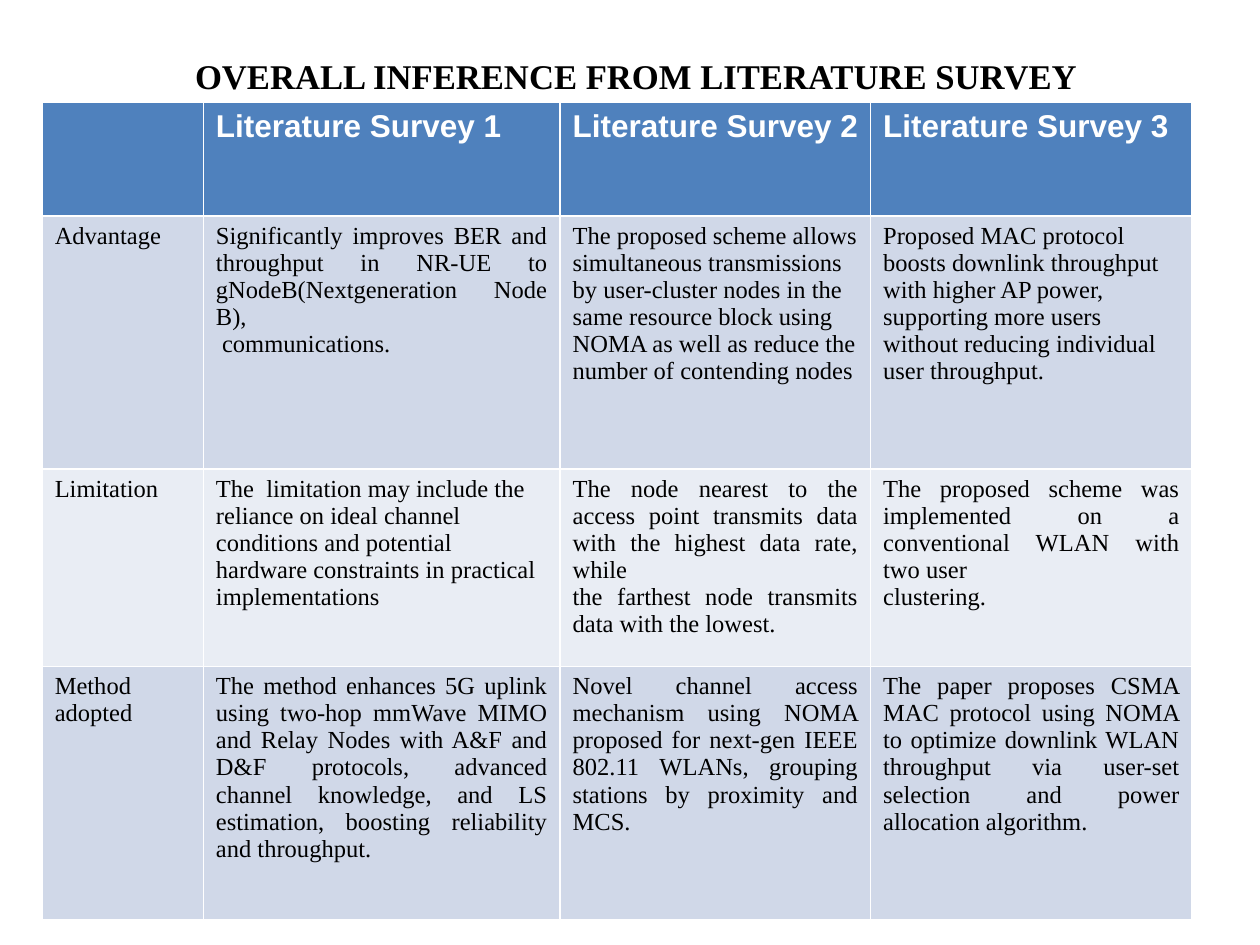
from dataclasses import dataclass

import pptx
import pptx.dml.color
import pptx.enum.text
import pptx.util

Cm = pptx.util.Cm
Pt = pptx.util.Pt
RGBColor = pptx.dml.color.RGBColor
ALIGN = pptx.enum.text.PP_ALIGN
ANCHOR = pptx.enum.text.MSO_ANCHOR

BLACK = RGBColor(0x00, 0x00, 0x00)
WHITE = RGBColor(0xFF, 0xFF, 0xFF)
HEADER_BLUE = RGBColor(0x4F, 0x81, 0xBD)
BAND_FILLS = (RGBColor(0xD0, 0xD8, 0xE8), RGBColor(0xE9, 0xED, 0xF4))

COLUMN_WIDTHS = (3.25, 7.19, 6.26, 6.48)
ROW_HEIGHTS = (2.3, 5.1, 3.98, 5.1)


@dataclass(frozen=True)
class TextStyle:
    font: str
    size: float
    color: RGBColor
    bold: bool


@dataclass(frozen=True)
class Entry:
    text: str
    justified: bool = False


TITLE_STYLE = TextStyle("Times New Roman", 19.8, BLACK, True)
HEADER_STYLE = TextStyle("Arial", 18, WHITE, True)
BODY_STYLE = TextStyle("Times New Roman", 14, BLACK, False)

HEADER = [Entry("")] + [Entry(f"Literature Survey {number}") for number in (1, 2, 3)]
BODY = [
    [
        Entry("Advantage"),
        Entry("Significantly improves BER and throughput in NR-UE to "
              "gNodeB(Nextgeneration Node B),\n communications.", True),
        Entry("The proposed scheme allows simultaneous transmissions by "
              "user-cluster nodes in the same resource block using NOMA "
              "as well as reduce the number of contending nodes"),
        Entry("Proposed MAC protocol boosts downlink throughput with higher "
              "AP power, supporting more users without reducing individual "
              "user throughput."),
    ],
    [
        Entry("Limitation"),
        Entry("The  limitation may include the reliance on ideal channel "
              "conditions and potential hardware constraints in practical "
              "implementations"),
        Entry("The node nearest to the access point transmits data with the "
              "highest data rate, while\nthe farthest node transmits data "
              "with the lowest.", True),
        Entry("The proposed scheme was implemented on a conventional WLAN "
              "with two user\nclustering.", True),
    ],
    [
        Entry("Method adopted"),
        Entry("The method enhances 5G uplink using two-hop mmWave MIMO and "
              "Relay Nodes with A&F and D&F protocols, advanced channel "
              "knowledge, and LS estimation, boosting reliability and "
              "throughput.", True),
        Entry("Novel channel access mechanism using NOMA proposed for "
              "next-gen IEEE 802.11 WLANs, grouping stations by proximity "
              "and MCS.", True),
        Entry("The paper proposes CSMA MAC protocol using NOMA to optimize "
              "downlink WLAN throughput via user-set selection and power "
              "allocation algorithm.", True),
    ],
]


def write_text(text_frame: pptx.text.text.TextFrame, text: str,
               style: TextStyle, alignment: ALIGN) -> None:
    text_frame.text = text
    for paragraph in text_frame.paragraphs:
        paragraph.alignment = alignment
        for run in paragraph.runs:
            run.font.name = style.font
            run.font.size = Pt(style.size)
            run.font.bold = style.bold
            run.font.color.rgb = style.color


def add_title(slide: pptx.slide.Slide) -> None:
    title = slide.shapes.title
    title.left, title.top = Cm(1.07), Cm(0.5)
    title.width, title.height = Cm(23.5), Cm(1.58)
    title.text_frame.auto_size = pptx.enum.text.MSO_AUTO_SIZE.NONE
    title.text_frame.vertical_anchor = ANCHOR.BOTTOM
    write_text(title.text_frame, "OVERALL INFERENCE FROM LITERATURE SURVEY",
               TITLE_STYLE, ALIGN.CENTER)


def fill_row(table: pptx.table.Table, row_index: int, entries: list[Entry],
             style: TextStyle, fill_color: RGBColor) -> None:
    for column_index, entry in enumerate(entries):
        cell = table.cell(row_index, column_index)
        cell.fill.solid()
        cell.fill.fore_color.rgb = fill_color
        alignment = ALIGN.JUSTIFY if entry.justified else ALIGN.LEFT
        write_text(cell.text_frame, entry.text, style, alignment)


def add_survey_table(slide: pptx.slide.Slide) -> None:
    frame = slide.shapes.add_table(
        len(ROW_HEIGHTS), len(COLUMN_WIDTHS), Cm(0.85), Cm(2.06),
        Cm(sum(COLUMN_WIDTHS)), Cm(sum(ROW_HEIGHTS)))
    table = frame.table
    for column, width in zip(table.columns, COLUMN_WIDTHS):
        column.width = Cm(width)
    for row, height in zip(table.rows, ROW_HEIGHTS):
        row.height = Cm(height)
    fill_row(table, 0, HEADER, HEADER_STYLE, HEADER_BLUE)
    for index, entries in enumerate(BODY):
        fill_row(table, index + 1, entries, BODY_STYLE, BAND_FILLS[index % 2])


def main() -> None:
    presentation = pptx.Presentation()
    presentation.slide_width = Cm(25.4)
    presentation.slide_height = Cm(19.05)
    slide = presentation.slides.add_slide(presentation.slide_layouts[5])
    add_title(slide)
    add_survey_table(slide)
    presentation.save("out.pptx")


if __name__ == "__main__":
    main()
